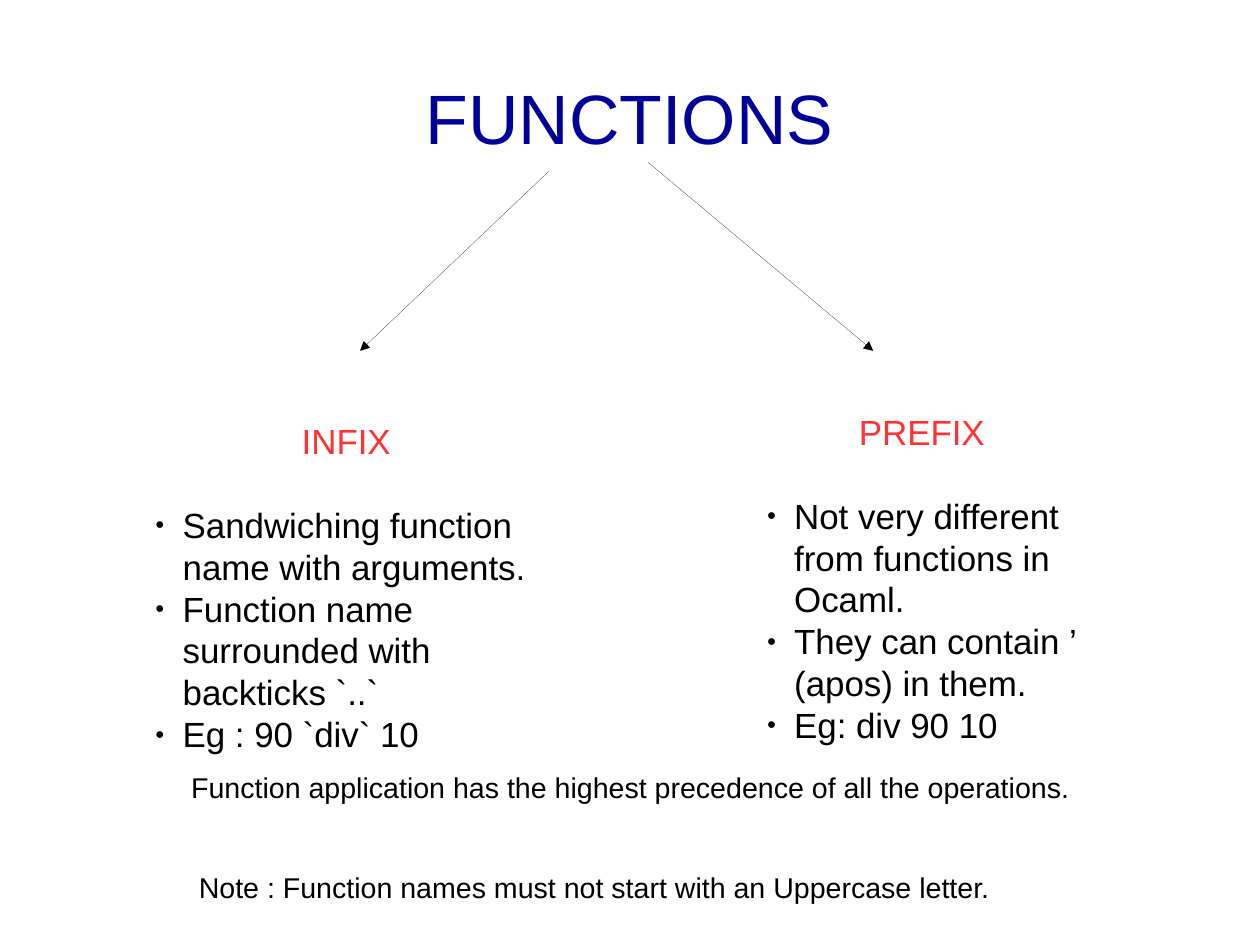
import pptx
import pptx.util
import pptx.dml.color
import pptx.enum.text
import pptx.enum.shapes
import pptx.oxml.ns
from lxml import etree

WIDTH_CM, HEIGHT_CM = 28, 21
BLACK, BLUE, RED = "000000", "000099", "FF3333"
TITLE = ("FUNCTIONS", (0.55, 0.33, 9.92, 1.38))
ARROWS = [((4.8, 1.5), (3.15, 3.07)), ((5.67, 1.42), (7.64, 3.07))]
COLUMNS = [
    ("INFIX", (1.26, 3.62, 3.54, 3.17), [
        "Sandwiching function name with arguments.",
        "Function name surrounded with backticks `..`",
        "Eg : 90 `div` 10"]),
    ("PREFIX", (6.61, 3.54, 2.91, 2.83), [
        "Not very different from functions in Ocaml.",
        "They can contain ’ (apos) in them.",
        "Eg: div 90 10"]),
]
NOTES = [
    ("Note : Function names must not start with an Uppercase letter.", (1.02, 7.56, 8.5, 0.38), 0.24),
    ("Function application has the highest precedence of all the operations.", (0.79, 6.69, 9.45, 0.58), 0.1),
]

inch, pt = pptx.util.Inches, pptx.util.Pt
CENTER = pptx.enum.text.PP_ALIGN.CENTER
LEFT = pptx.enum.text.PP_ALIGN.LEFT


def color(value):
    return pptx.dml.color.RGBColor.from_string(value)


def add_xml(parent, tag, **attrs):
    return etree.SubElement(parent, pptx.oxml.ns.qn(tag), attrs)


def add_box(box):
    tf = s.shapes.add_textbox(*map(inch, box)).text_frame
    tf.word_wrap = True
    return tf


def write(p, text, size, fill=BLACK, align=CENTER):
    p.text, p.alignment = text, align
    p.font.name, p.font.size = "Arial", pt(size)
    p.font.color.rgb = color(fill)


def add_bullet(p):
    pPr = p._p.get_or_add_pPr()
    pPr.set("marL", str(inch(0.24)))
    pPr.set("indent", str(-inch(0.24)))
    tags = ("a:buClr", "a:buSzPct", "a:buFont", "a:buChar")
    clr, size, font, char = bullet = [etree.Element(pptx.oxml.ns.qn(tag)) for tag in tags]
    add_xml(clr, "a:srgbClr", val=BLACK)
    size.set("val", "45000")
    font.set("typeface", "Arial")
    char.set("char", "●")
    for i, item in enumerate(bullet):
        pPr.insert(i, item)


def add_arrow(start, end):
    c = s.shapes.add_connector(pptx.enum.shapes.MSO_CONNECTOR.STRAIGHT, *map(inch, start + end))
    c.line.color.rgb = color(BLACK)
    ln = c.line._get_or_add_ln()
    ln.set("w", "0")
    add_xml(ln, "a:tailEnd", type="triangle")
    add_xml(c._element.spPr, "a:effectLst")


prs = pptx.Presentation()
prs.slide_width, prs.slide_height = pptx.util.Cm(WIDTH_CM), pptx.util.Cm(HEIGHT_CM)
s = prs.slides.add_slide(prs.slide_layouts[6])

text, box = TITLE
tf = add_box(box)
tf.margin_left = tf.margin_right = tf.margin_top = tf.margin_bottom = 0
tf.vertical_anchor = pptx.enum.text.MSO_ANCHOR.MIDDLE
write(tf.paragraphs[0], text, 44, BLUE)

for start, end in ARROWS:
    add_arrow(start, end)

for heading, box, bullets in COLUMNS:
    tf = add_box(box)
    write(tf.paragraphs[0], heading, 22, RED)
    tf.paragraphs[0].space_after = pt(26.5)
    for text in bullets:
        p = tf.add_paragraph()
        write(p, text, 22, align=LEFT)
        add_bullet(p)

for text, box, right in NOTES:
    tf = add_box(box)
    tf.margin_right = inch(right)
    write(tf.paragraphs[0], text, 18)

prs.save("out.pptx")
